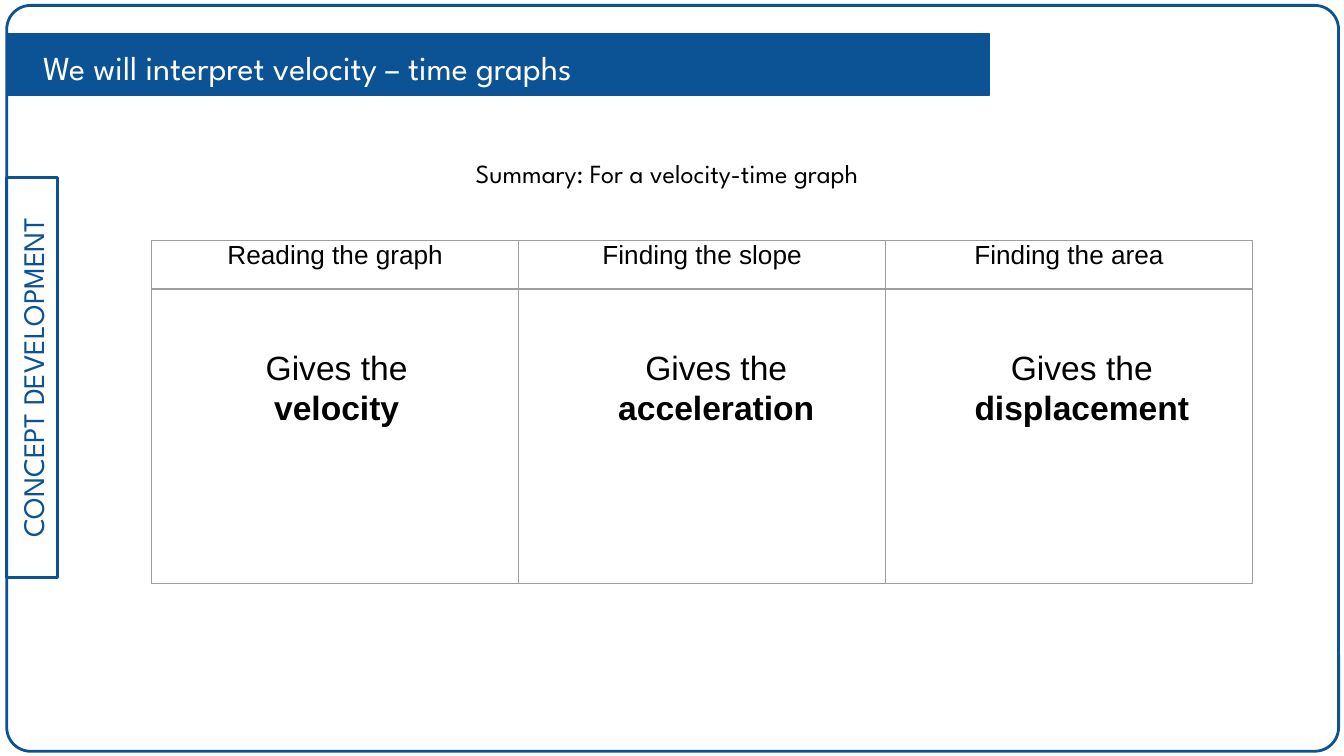
"""Build the velocity-time graph summary slide."""
from lxml import etree
from pptx import Presentation
from pptx.dml.color import RGBColor
from pptx.enum.shapes import MSO_SHAPE
from pptx.enum.text import MSO_ANCHOR, MSO_AUTO_SIZE, PP_ALIGN
from pptx.oxml.ns import qn
from pptx.util import Inches, Pt

CENTER, LEFT = PP_ALIGN.CENTER, PP_ALIGN.LEFT
MIDDLE = MSO_ANCHOR.MIDDLE
FIT_SHAPE, FIT_NONE = MSO_AUTO_SIZE.SHAPE_TO_FIT_TEXT, MSO_AUTO_SIZE.NONE
RECTANGLE, ROUNDED = MSO_SHAPE.RECTANGLE, MSO_SHAPE.ROUNDED_RECTANGLE

BLUE = RGBColor(0x0B, 0x53, 0x94)
GRAY = RGBColor(0x9E, 0x9E, 0x9E)
BLACK = RGBColor(0, 0, 0)
WHITE = RGBColor(255, 255, 255)
DISPLAY, BODY = "League Spartan", "Arial"

GOAL = "We will interpret velocity – time graphs"
SECTION = "CONCEPT DEVELOPMENT"
SUMMARY = "Summary: For a velocity-time graph"
# heading, lead-in, quantity, answer left, answer width
METHODS = [
    ("Reading the graph", "Gives the ", "velocity", 1.57, 1.87),
    ("Finding the slope", "Gives the ", "acceleration", 4.16, 2.34),
    ("Finding the area", "Gives the ", "displacement", 6.88, 2.34),
]
SLIDE_WIDTH = 10
SLIDE_HEIGHT = SLIDE_WIDTH * 9 / 16
TABLE_LEFT, TABLE_TOP, COLUMN_WIDTH = 1.13, 1.79, 2.73
ROW_HEIGHTS = (0.36, 2.19)
ANSWER_TOP, ANSWER_HEIGHT = 2.53, 0.71


def box(left, top, width, height):
    return [Inches(length) for length in (left, top, width, height)]


def style(run, size, face, color, bold=False):
    run.font.size, run.font.name, run.font.bold = Pt(size), face, bold
    run.font.color.rgb = color


def add_panel(slide, preset, place, weight, fill=None):
    panel = slide.shapes.add_shape(preset, *box(*place))
    panel.shadow.inherit = False
    if fill is None:
        panel.fill.background()
    else:
        panel.fill.solid()
        panel.fill.fore_color.rgb = fill
    panel.line.color.rgb, panel.line.width = BLUE, Pt(weight)
    return panel


def set_margins(frame, inset=0.1):
    frame.margin_left = frame.margin_right = Inches(inset)
    frame.margin_top = frame.margin_bottom = Inches(inset)


def add_borders(cell):
    properties = cell._tc.get_or_add_tcPr()
    for side in ("a:lnL", "a:lnR", "a:lnT", "a:lnB"):
        border = etree.SubElement(properties, qn(side), w=str(Pt(0.75)))
        paint = etree.SubElement(border, qn("a:solidFill"))
        etree.SubElement(paint, qn("a:srgbClr"), val=str(GRAY))


def add_frame(slide):
    border = add_panel(slide, ROUNDED, (0.05, 0.04, 9.91, 5.55), 1.5)
    border.adjustments[0] = 0.032
    tab = add_panel(slide, RECTANGLE, (-1.25, 2.62, 2.98, 0.38), 1.5)
    tab.rotation = 270
    frame = tab.text_frame
    set_margins(frame)
    frame.vertical_anchor = MIDDLE
    frame.text = SECTION
    frame.paragraphs[0].alignment = CENTER
    style(frame.paragraphs[0].runs[0], 16, DISPLAY, BLUE)
    add_panel(slide, RECTANGLE, (0.05, 0.25, 7.31, 0.46), 0.75, BLUE)


def add_goal(slide):
    title = slide.shapes.title
    slide.shapes._spTree.append(title._element)
    title.left, title.top, title.width, title.height = box(0.1, 0.29, 7.21, 0.38)
    frame = title.text_frame
    frame.text = GOAL
    frame.auto_size, frame.vertical_anchor = FIT_NONE, MIDDLE
    set_margins(frame)
    paragraph = frame.paragraphs[0]
    paragraph.alignment, paragraph.line_spacing = LEFT, 1.15
    indents = paragraph._p.get_or_add_pPr()
    indents.set("marL", str(Inches(0.5)))
    indents.set("indent", str(Inches(-0.38)))
    style(paragraph.runs[0], 18, DISPLAY, WHITE)


def add_methods(slide):
    place = box(TABLE_LEFT, TABLE_TOP, COLUMN_WIDTH * len(METHODS), sum(ROW_HEIGHTS))
    table = slide.shapes.add_table(len(ROW_HEIGHTS), len(METHODS), *place).table
    table.first_row = table.horz_banding = False
    for row, height in zip(table.rows, ROW_HEIGHTS):
        row.height = Inches(height)
    for column, method in enumerate(METHODS):
        table.columns[column].width = Inches(COLUMN_WIDTH)
        heading = table.cell(0, column)
        heading.text = method[0]
        heading.margin_left = heading.margin_right = Inches(0.07)
        heading.margin_top = heading.margin_bottom = 0
        paragraph = heading.text_frame.paragraphs[0]
        paragraph.alignment = CENTER
        style(paragraph.runs[0], 14, BODY, BLACK)
    for cell in table.iter_cells():
        add_borders(cell)
        cell.fill.background()


def add_note(slide, place, parts, size, face, alignment, wrap):
    frame = slide.shapes.add_textbox(*box(*place)).text_frame
    frame.word_wrap, frame.auto_size = wrap, FIT_SHAPE
    paragraph = frame.paragraphs[0]
    paragraph.alignment = alignment
    for text, bold in parts:
        run = paragraph.add_run()
        run.text = text
        style(run, size, face, BLACK, bold)


def main():
    deck = Presentation()
    deck.slide_width, deck.slide_height = Inches(SLIDE_WIDTH), Inches(SLIDE_HEIGHT)
    slide = deck.slides.add_slide(deck.slide_layouts.get_by_name("Title Only"))
    add_frame(slide)
    add_goal(slide)
    add_methods(slide)
    add_note(slide, (3.44, 1.12, 3.58, 0.34), [(SUMMARY, False)], 14, DISPLAY, LEFT, False)
    for _, lead, quantity, left, width in METHODS:
        place = (left, ANSWER_TOP, width, ANSWER_HEIGHT)
        add_note(slide, place, [(lead, False), (quantity, True)], 18, BODY, CENTER, True)
    deck.save("out.pptx")


if __name__ == "__main__":
    main()
